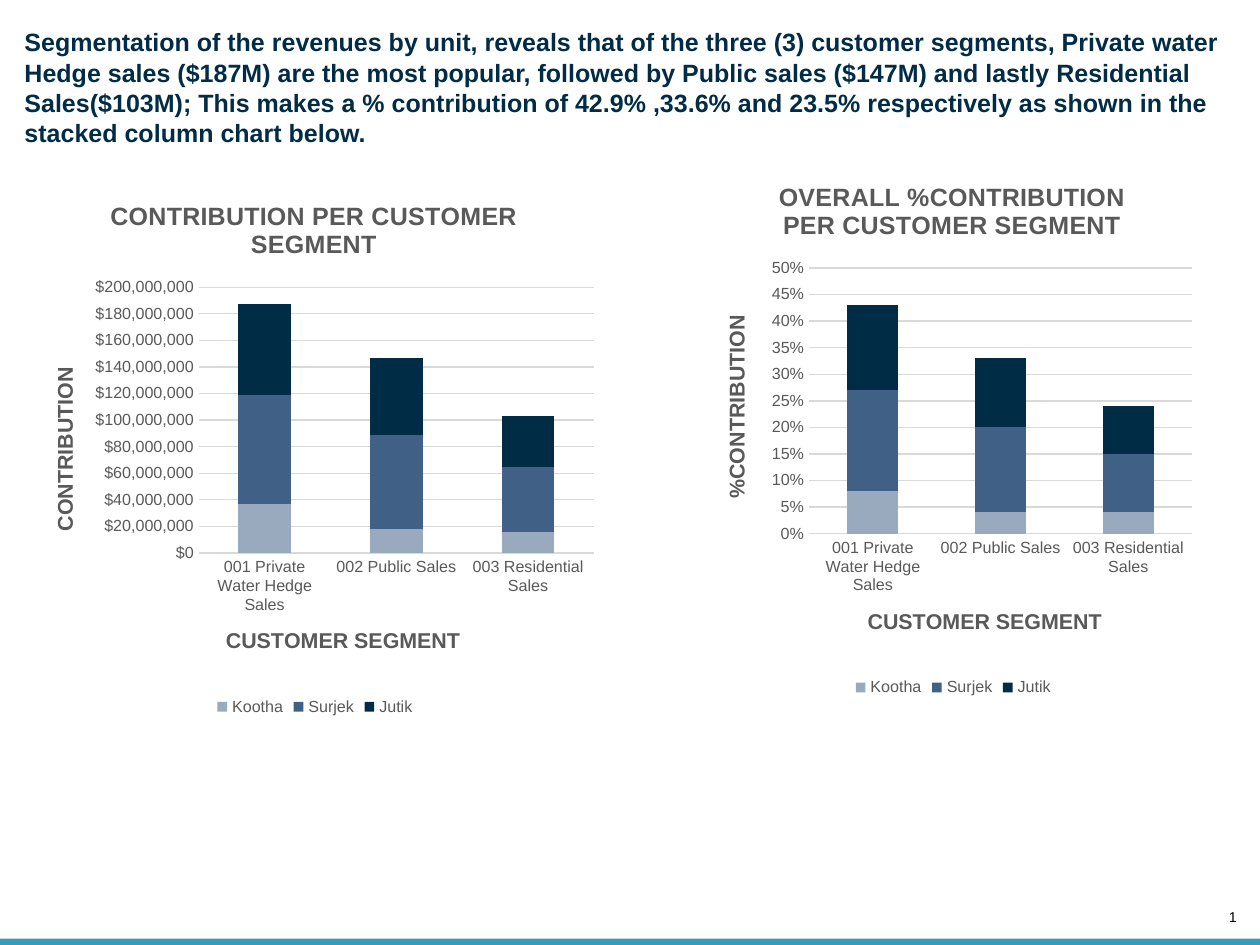
from lxml import etree
from pptx import Presentation
from pptx import util as u
from pptx.chart.data import CategoryChartData
from pptx.dml.color import RGBColor
from pptx.enum import chart as ch, shapes, text
from pptx.oxml import parse_xml
from pptx.oxml.ns import nsdecls, qn

NAVY = RGBColor(0x00, 0x2C, 0x46)
STEEL = RGBColor(0x40, 0x60, 0x85)
MIST = RGBColor(0x99, 0xAA, 0xBE)
GREY = RGBColor(0x59, 0x59, 0x59)
GRID = RGBColor(0xD9, 0xD9, 0xD9)
TEAL = RGBColor(0x37, 0x9B, 0xBD)
BLACK = RGBColor(0x00, 0x00, 0x00)

HEADLINE = (
    "Segmentation of the revenues by unit, reveals that of the three (3) customer segments, "
    "Private water Hedge sales ($187M) are the most popular, followed by Public sales ($147M) "
    "and lastly Residential Sales($103M); This makes a % contribution of 42.9% ,33.6% and 23.5% "
    "respectively as shown in the stacked column chart below."
)
SEGMENTS = ["001 Private Water Hedge Sales", "002 Public Sales", "003 Residential Sales"]
UNIT_COLORS = {"Kootha": MIST, "Surjek": STEEL, "Jutik": NAVY}
SEGMENT_TITLE = "CUSTOMER SEGMENT"

# Layout entries are fractions of the chart: x, y and, for the plot, width and height.
CHARTS = [
    {
        "box": (0.19, 1.39, 4.52, 4.22),
        "title": "CONTRIBUTION PER CUSTOMER SEGMENT",
        "value_title": "CONTRIBUTION",
        "format": '"$"#,##0', "maximum": 200_000_000, "step": 20_000_000,
        "values": [
            (37_000_000, 18_000_000, 16_000_000),
            (82_000_000, 71_000_000, 49_000_000),
            (68_000_000, 58_000_000, 38_000_000),
        ],
        "layout": {"plot": (0.3, 0.2, 0.68, 0.49), "title": (0.14, 0.03),
                   "category": (0.34, 0.82), "value": (0.04, 0.34)},
    },
    {
        "box": (5.48, 1.24, 3.87, 4.22),
        "title": "OVERALL %CONTRIBUTION PER CUSTOMER SEGMENT",
        "value_title": "%CONTRIBUTION",
        "format": "0%", "maximum": 0.5, "step": 0.05,
        "values": [
            (0.08, 0.04, 0.04),
            (0.19, 0.16, 0.11),
            (0.16, 0.13, 0.09),
        ],
        "layout": {"plot": (0.21, 0.2, 0.77, 0.49), "title": (0.14, 0.03),
                   "category": (0.32, 0.82), "value": (0.03, 0.28)},
    },
]


def apply(target, **values):
    for name, value in values.items():
        setattr(target, name, value)


def style_font(font, size, color, bold=False):
    apply(font, name="Arial", size=u.Pt(size), bold=bold)
    font.color.rgb = color


def zero_margins(frame):
    apply(frame, margin_left=0, margin_right=0, margin_top=0, margin_bottom=0)


def set_title(owner, wording, size):
    """Title a chart or an axis, and return the title's XML element."""
    owner.has_title = True
    title = owner.chart_title if hasattr(owner, "chart_title") else owner.axis_title
    title.text_frame.text = wording
    style_font(title.text_frame.paragraphs[0].runs[0].font, size, GREY, True)
    return title._element


def place(element, fractions):
    """Give a chart part a manual layout."""
    for old in element.findall(qn("c:layout")):
        element.remove(old)
    layout = parse_xml(f"<c:layout {nsdecls('c')}><c:manualLayout/></c:layout>")
    settings = [("xMode", "edge"), ("yMode", "edge"), *zip("xywh", fractions)]
    if len(fractions) == 4:
        settings.insert(0, ("layoutTarget", "inner"))
    for name, value in settings:
        etree.SubElement(layout[0], qn(f"c:{name}")).set("val", str(value))
    text_part = element.find(qn("c:tx"))
    element.insert(0 if text_part is None else 1, layout)


def add_stacked_chart(slide, content):
    data = CategoryChartData(number_format=content["format"])
    data.categories = SEGMENTS
    for unit, values in zip(UNIT_COLORS, content["values"]):
        data.add_series(unit, values)
    chart = slide.shapes.add_chart(
        ch.XL_CHART_TYPE.COLUMN_STACKED, *map(u.Inches, content["box"]), data).chart
    style_font(chart.font, 9, GREY)

    plot = chart.plots[0]
    apply(plot, gap_width=150, overlap=100, vary_by_categories=False)
    for series in plot.series:
        series.format.fill.solid()
        series.format.fill.fore_color.rgb = UNIT_COLORS[series.name]

    category, value = chart.category_axis, chart.value_axis
    for axis in (category, value):
        axis.major_tick_mark = axis.minor_tick_mark = ch.XL_TICK_MARK.NONE
        style_font(axis.tick_labels.font, 9, GREY)
    apply(value, minimum_scale=0, maximum_scale=content["maximum"],
          major_unit=content["step"], has_major_gridlines=True)
    apply(value.tick_labels, number_format=content["format"], number_format_is_linked=False)
    value.format.line.fill.background()
    for line in (category.format.line, value.major_gridlines.format.line):
        line.color.rgb = GRID
        line.width = u.Pt(0.75)

    chart.has_legend = True
    apply(chart.legend, position=ch.XL_LEGEND_POSITION.BOTTOM, include_in_layout=False)
    style_font(chart.legend.font, 9, GREY)

    parts = {
        "plot": chart._chartSpace.chart.plotArea,
        "title": set_title(chart, content["title"], 14),
        "category": set_title(category, SEGMENT_TITLE, 12),
        "value": set_title(value, content["value_title"], 12),
    }
    for name, element in parts.items():
        place(element, content["layout"][name])


def add_footer(slide):
    bar = slide.shapes.add_shape(
        shapes.MSO_SHAPE.RECTANGLE, 0, u.Inches(7.3), u.Inches(9.8), u.Inches(0.05))
    bar.shadow.inherit = False
    bar.fill.solid()
    bar.fill.fore_color.rgb = TEAL
    bar.line.fill.background()

    number = slide.shapes.add_textbox(*map(u.Inches, (9.48, 7.07, 0.14, 0.13)))
    frame = number.text_frame
    zero_margins(frame)
    apply(frame, word_wrap=False, vertical_anchor=text.MSO_ANCHOR.BOTTOM)
    paragraph = frame.paragraphs[0]
    paragraph.alignment = text.PP_ALIGN.RIGHT
    run = paragraph.add_run()
    run.text = "1"
    style_font(run.font, 8, BLACK)


def main():
    presentation = Presentation()
    apply(presentation, slide_width=u.Inches(9.8), slide_height=u.Inches(7.35))
    slide = presentation.slides.add_slide(presentation.slide_layouts[5])
    add_footer(slide)

    title = slide.shapes.title
    left, top, width, height = map(u.Inches, (0.19, 0.21, 9.61, 0.94))
    apply(title, left=left, top=top, width=width, height=height)
    frame = title.text_frame
    frame.text = HEADLINE
    zero_margins(frame)
    apply(frame, word_wrap=True, auto_size=text.MSO_AUTO_SIZE.NONE,
          vertical_anchor=text.MSO_ANCHOR.TOP)
    frame.paragraphs[0].alignment = text.PP_ALIGN.LEFT
    style_font(frame.paragraphs[0].runs[0].font, 14, NAVY, True)

    for content in CHARTS:
        add_stacked_chart(slide, content)
    presentation.save("out.pptx")


if __name__ == "__main__":
    main()
